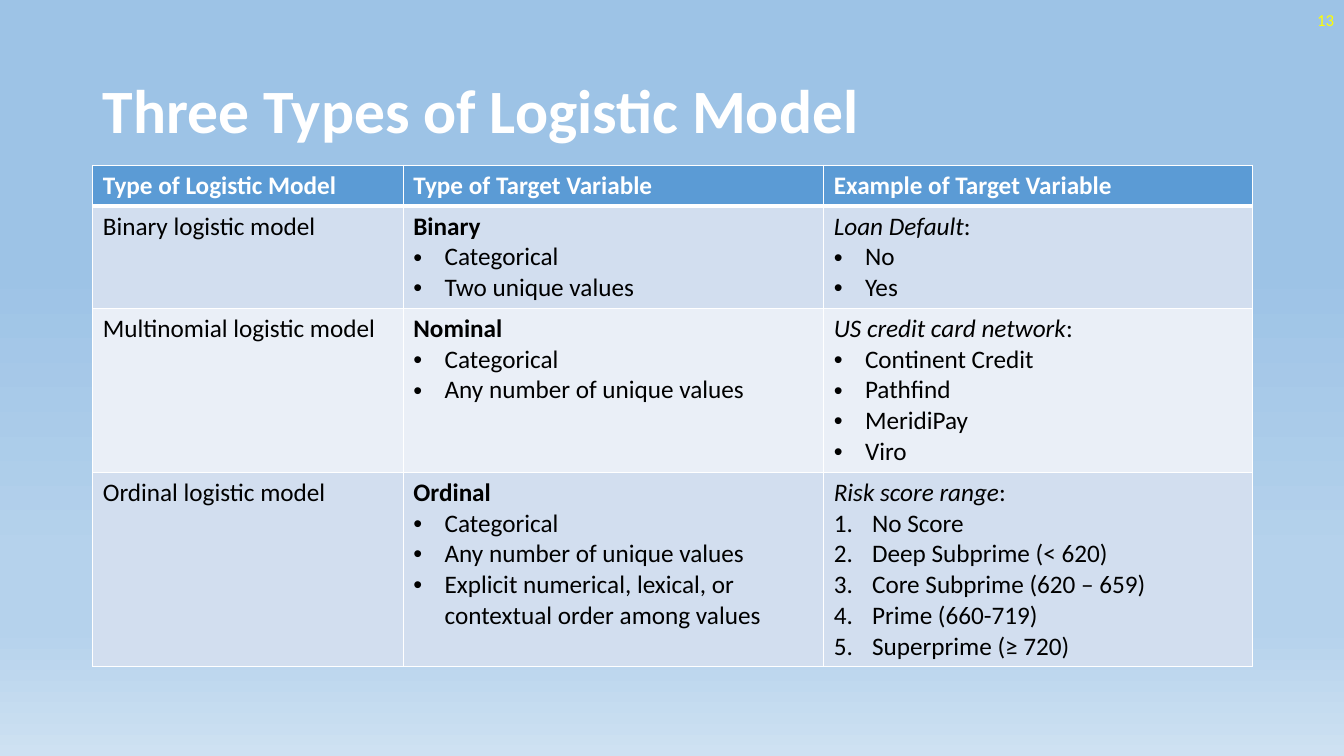
from lxml.etree import SubElement
from pptx import Presentation
from pptx.dml.color import RGBColor
from pptx.enum.text import MSO_ANCHOR, PP_ALIGN
from pptx.oxml.ns import qn
from pptx.util import Inches, Pt


def add_run(p, text, size, color, bold=False, italic=False):
    r = p.add_run()
    r.text = text
    r.font.name = "Calibri"
    r.font.size = Pt(size)
    r.font.bold = bold
    r.font.italic = italic
    r.font.color.rgb = RGBColor.from_string(color)


def add_solid(parent, color):
    """Append a solid fill to a line or gradient-stop parent element."""
    fill = SubElement(parent, qn("a:solidFill"))
    SubElement(fill, qn("a:srgbClr"), val=color)


WHITE, BLACK, YELLOW = "FFFFFF", "000000", "FFFF00"
HEADER_FILL, BAND_FILLS = "5B9BD5", ("D2DEEF", "EAEFF7")
GRADIENT = [(35, "9DC3E6"), (74, "B5D2EC"), (83, "B5D2EC"), (100, "CEE1F2")]

prs = Presentation()
prs.slide_width, prs.slide_height = Inches(13.33), Inches(7.5)
s = prs.slides.add_slide(prs.slide_layouts[6])

# Background
fill = s.background.fill
fill.gradient()
fill.gradient_angle = 270
stops = s.element.find(".//" + qn("a:gsLst"))
for stop in list(stops):
    stops.remove(stop)
for share, color in GRADIENT:
    stop = SubElement(stops, qn("a:gs"), pos=str(share * 1000))
    SubElement(stop, qn("a:srgbClr"), val=color)

# Title and slide number
for text, box, size, color, bold, align in [
    ("Three Types of Logistic Model", (0.92, 0.4, 11.5, 1.45), 44, WHITE, True, PP_ALIGN.LEFT),
    ("13", (10.33, 0, 3, 0.4), 12, YELLOW, False, PP_ALIGN.RIGHT),
]:
    tf = s.shapes.add_textbox(*map(Inches, box)).text_frame
    tf.word_wrap = True
    tf.vertical_anchor = MSO_ANCHOR.MIDDLE
    p = tf.paragraphs[0]
    p.alignment = align
    p.line_spacing = 0.9 if bold else 1.0
    add_run(p, text, size, color, bold)

# Each body row: model, (variable type, bullets), (example, list style, items), text lines
HEADERS = ["Type of Logistic Model", "Type of Target Variable", "Example of Target Variable"]
MODELS = [
    ("Binary logistic model",
     ("Binary", ["Categorical", "Two unique values"]),
     ("Loan Default", "bullet", ["No", "Yes"]), 3),
    ("Multinomial logistic model",
     ("Nominal", ["Categorical", "Any number of unique values"]),
     ("US credit card network", "bullet",
      ["Continent Credit", "Pathfind", "MeridiPay", "Viro"]), 5),
    ("Ordinal logistic model",
     ("Ordinal", ["Categorical", "Any number of unique values",
                  "Explicit numerical, lexical, or contextual order among values"]),
     ("Risk score range", "number",
      ["No Score", "Deep Subprime (< 620)", "Core Subprime (620 – 659)",
       "Prime (660-719)", "Superprime (≥ 720)"]), 6),
]
COLUMN_WIDTHS = [3.08, 4.17, 4.25]
LINE_HEIGHT, CELL_PADDING = 0.305, 0.1
row_heights = [CELL_PADDING + LINE_HEIGHT * n for n in [1] + [m[3] for m in MODELS]]

table = s.shapes.add_table(
    len(row_heights), len(COLUMN_WIDTHS), Inches(0.92), Inches(1.64),
    Inches(sum(COLUMN_WIDTHS)), Inches(sum(row_heights))).table
for column, width in zip(table.columns, COLUMN_WIDTHS):
    column.width = Inches(width)
for row, height in zip(table.rows, row_heights):
    row.height = Inches(height)

# Cell borders and fills
for i, row in enumerate(table.rows):
    for cell in row.cells:
        tcPr = cell._tc.get_or_add_tcPr()
        for side in "LRTB":
            thick = (i, side) in [(0, "B"), (1, "T")]
            ln = SubElement(tcPr, qn(f"a:ln{side}"), w=str(Pt(3 if thick else 1)))
            add_solid(ln, WHITE)
        cell.fill.solid()
        color = BAND_FILLS[(i - 1) % 2] if i else HEADER_FILL
        cell.fill.fore_color.rgb = RGBColor.from_string(color)

# Cell text
for j, header in enumerate(HEADERS):
    add_run(table.cell(0, j).text_frame.paragraphs[0], header, 18, WHITE, True)

for i, (model, (kind, traits), (example, style, values), _) in enumerate(MODELS, 1):
    frames = [table.cell(i, j).text_frame for j in range(len(HEADERS))]
    model_p, kind_p, example_p = [tf.paragraphs[0] for tf in frames]
    add_run(model_p, model, 18, BLACK)
    add_run(kind_p, kind, 18, BLACK, bold=True)
    add_run(example_p, example, 18, BLACK, italic=True)
    add_run(example_p, ":", 18, BLACK)
    for tf, list_style, items in [(frames[1], "bullet", traits), (frames[2], style, values)]:
        for item in items:
            p = tf.add_paragraph()
            pPr = p._p.get_or_add_pPr()
            indent = Inches(0.38 if list_style == "number" else 0.31)
            pPr.set("marL", str(indent))
            pPr.set("indent", str(-indent))
            if list_style == "number":
                SubElement(pPr, qn("a:buFont"), typeface="+mj-lt")
                SubElement(pPr, qn("a:buAutoNum"), type="arabicPeriod")
            else:
                SubElement(pPr, qn("a:buFont"), typeface="Arial")
                SubElement(pPr, qn("a:buChar"), char="•")
            add_run(p, item, 18, BLACK)

prs.save("out.pptx")
